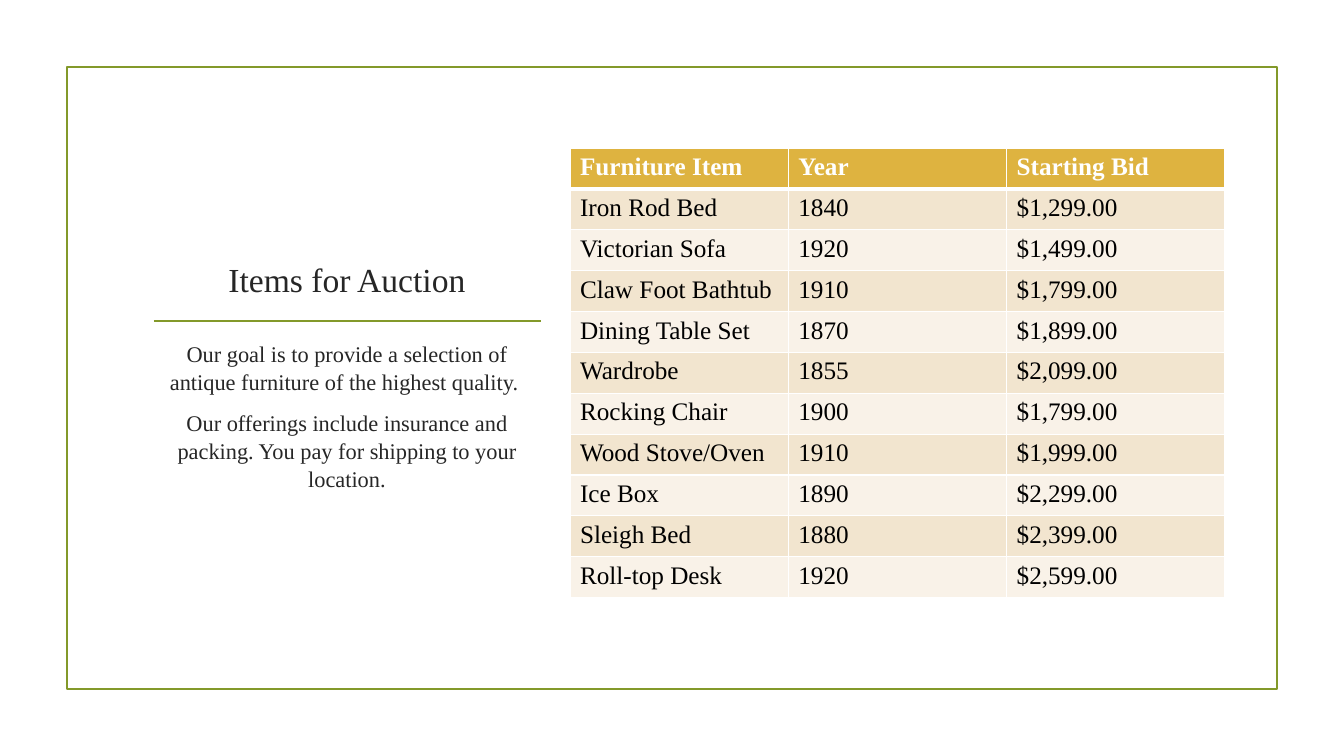
import pptx
import pptx.dml.color
import pptx.enum.shapes
import pptx.enum.text
import pptx.oxml
import pptx.oxml.ns
import pptx.util
from lxml import etree

RGB = pptx.dml.color.RGBColor
GREEN = RGB(0x83, 0x99, 0x2A)
GOLD = RGB(0xDE, 0xB3, 0x40)
SAND = RGB(0xF2, 0xE5, 0xCF)
CREAM = RGB(0xF9, 0xF2, 0xE8)
WHITE = RGB(0xFF, 0xFF, 0xFF)
BLACK = RGB(0, 0, 0)
DARK = RGB(0x26, 0x26, 0x26)
FONT = "Times New Roman"
qn = pptx.oxml.ns.qn


def px(n):
    return pptx.util.Emu(round(n * 12192000 / 1344))


def add_run(p, text, size, color, bold=False):
    r = p.add_run()
    r.text = text
    r.font.name = FONT
    r.font.size = pptx.util.Pt(size)
    r.font.bold = bold
    r.font.color.rgb = color


prs = pptx.Presentation()
prs.slide_width, prs.slide_height = px(1344), px(756)
s = prs.slides.add_slide(prs.slide_layouts[1])

# Frame and rule under the title
frame = s.shapes.add_shape(pptx.enum.shapes.MSO_SHAPE.RECTANGLE,
                           px(67), px(67), px(1210), px(622))
frame.shadow.inherit = False
frame.fill.background()
rule = s.shapes.add_connector(pptx.enum.shapes.MSO_CONNECTOR.STRAIGHT,
                              px(154), px(321), px(541), px(321))
etree.SubElement(rule.element.spPr, qn("a:effectLst"))
for sp in (frame, rule):
    sp.line.color.rgb = GREEN
    sp.line.width = pptx.util.Pt(1.25)

# Title and body text
title, body = s.shapes.title, s.placeholders[1]
ANCHOR = pptx.enum.text.MSO_ANCHOR
for sp, top, height, anchor, size, spacing, texts in (
    (title, 153, 151, ANCHOR.BOTTOM, 24, 1, ["Items for Auction"]),
    (body, 334, 269, ANCHOR.TOP, 16, 1.04, [
        "Our goal is to provide a selection of antique furniture "
        "of the highest quality. ",
        "Our offerings include insurance and packing. "
        "You pay for shipping to your location."]),
):
    sp.left, sp.top, sp.width, sp.height = px(142), px(top), px(410), px(height)
    tf = sp.text_frame
    tf.word_wrap = True
    tf.auto_size = pptx.enum.text.MSO_AUTO_SIZE.NONE
    tf.vertical_anchor = anchor
    for i, text in enumerate(texts):
        p = tf.add_paragraph() if i else tf.paragraphs[0]
        pPr = p._p.get_or_add_pPr()
        pPr.set("marL", "0")
        pPr.set("indent", "0")
        etree.SubElement(pPr, qn("a:buNone"))
        p.alignment = pptx.enum.text.PP_ALIGN.CENTER
        p.line_spacing = spacing
        p.space_before = pptx.util.Pt(3.2 if i else 0)
        p.space_after = pptx.util.Pt(6 if sp is body else 0)
        add_run(p, text, size, DARK)

# Auction table
rows = [
    ("Furniture Item", "Year", "Starting Bid"),
    ("Iron Rod Bed", "1840", "$1,299.00"),
    ("Victorian Sofa", "1920", "$1,499.00"),
    ("Claw Foot Bathtub", "1910", "$1,799.00"),
    ("Dining Table Set", "1870", "$1,899.00"),
    ("Wardrobe", "1855", "$2,099.00"),
    ("Rocking Chair", "1900", "$1,799.00"),
    ("Wood Stove/Oven", "1910", "$1,999.00"),
    ("Ice Box", "1890", "$2,299.00"),
    ("Sleigh Bed", "1880", "$2,399.00"),
    ("Roll-top Desk", "1920", "$2,599.00"),
]
table = s.shapes.add_table(len(rows), 3, px(570), px(148), px(655), px(450)).table
for i, row in enumerate(rows):
    header = i == 0
    for j, text in enumerate(row):
        cell = table.cell(i, j)
        add_run(cell.text_frame.paragraphs[0], text, 18,
                WHITE if header else BLACK, header)
        # Borders come before the fill; the header's lower edge is thicker
        tcPr = cell._tc.get_or_add_tcPr()
        for side in "LRTB":
            thick = (i, side) in ((0, "B"), (1, "T"))
            ln = etree.SubElement(tcPr, qn("a:ln" + side),
                                  w=str(pptx.util.Pt(3 if thick else 1)))
            fill = etree.SubElement(ln, qn("a:solidFill"))
            etree.SubElement(fill, qn("a:srgbClr"), val=str(WHITE))
        cell.fill.solid()
        cell.fill.fore_color.rgb = GOLD if header else SAND if i % 2 else CREAM

prs.save("out.pptx")
